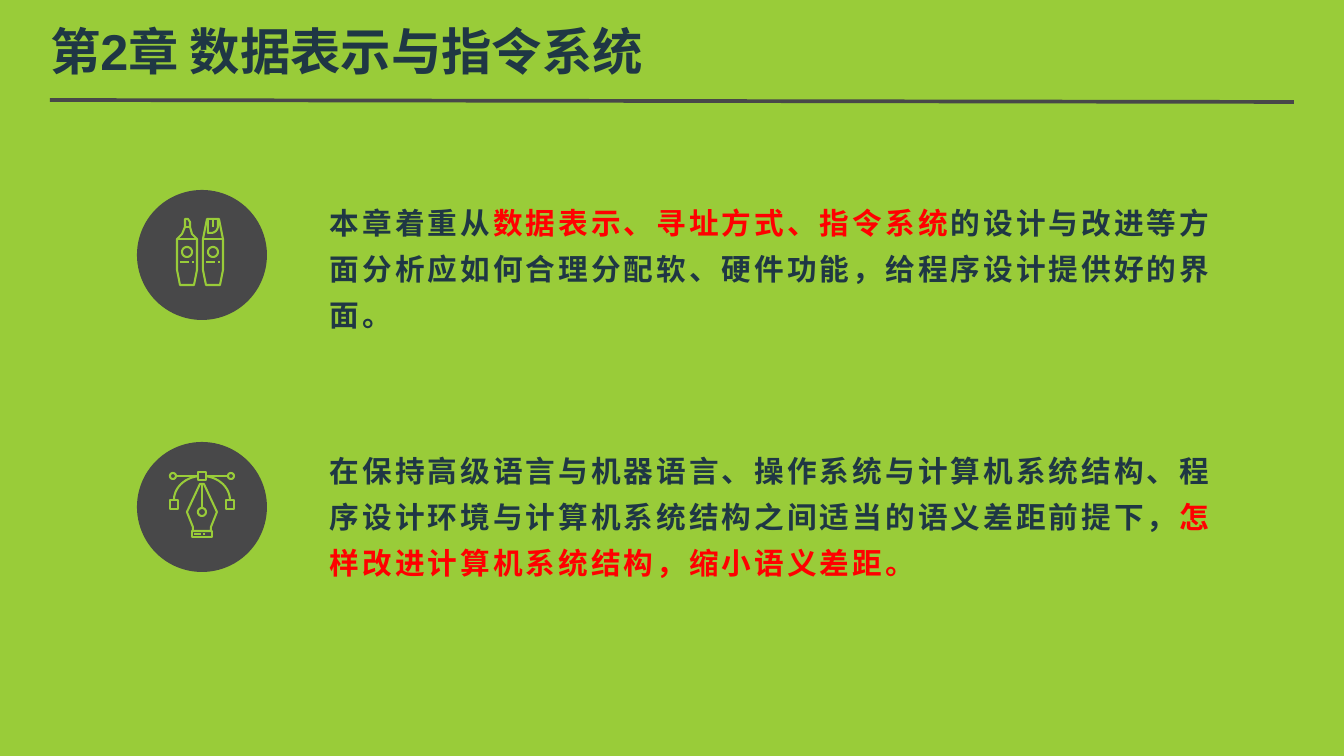
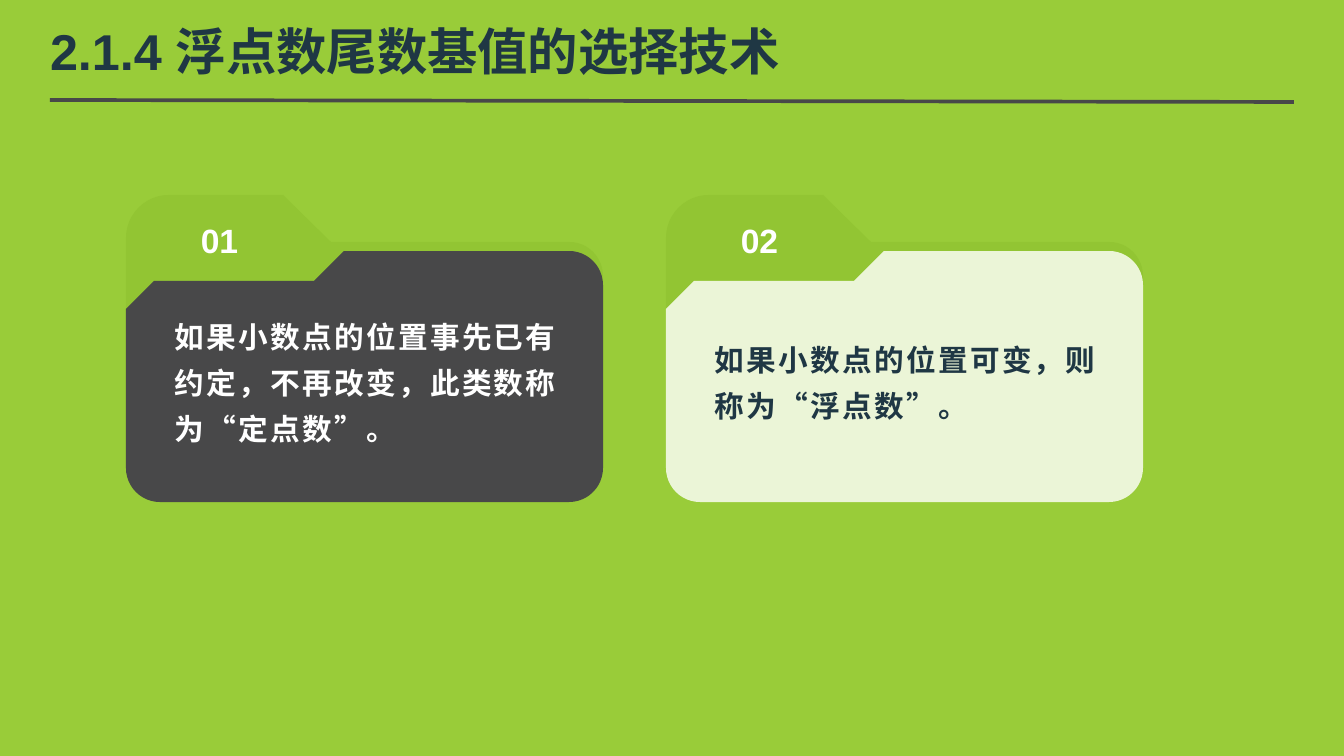
from dataclasses import dataclass
from math import cos, radians, sin

from lxml.etree import SubElement
from pptx import Presentation
from pptx.dml.color import RGBColor as Rgb
from pptx.enum.shapes import MSO_CONNECTOR as Connector, MSO_SHAPE as Shape
from pptx.enum.text import MSO_ANCHOR as Anchor, PP_ALIGN as Align
from pptx.oxml.ns import qn
from pptx.util import Emu, Pt

PX = 8572.5  # EMU in one px
WIDTH, HEIGHT = 1344, 756


@dataclass(frozen=True)
class Theme:
    green: str = "99CC39"
    leaf: str = "92C533"
    pale: str = "EBF5D7"
    gray: str = "484849"
    ink: str = "1F3744"
    red: str = "FF0000"
    white: str = "FFFFFF"
    font: str = "Arial"
    title: float = 34
    body: float = 20
    number: float = 22.7
    rule: float = 2.5
    stroke: float = 1.4


THEME = Theme()


def px(value):
    return Emu(round(value * PX))


def rgb(color):
    return Rgb.from_string(color)


def arc(x, y, rx, ry, start, end, steps=12):
    """Points on an ellipse; angles run clockwise from the right."""
    angles = [radians(start + (end - start) * i / steps) for i in range(steps + 1)]
    return [(x + rx * cos(a), y + ry * sin(a)) for a in angles]


def ring(x, y, radius):
    return arc(x, y, radius, radius, 0, 360, 24)


def rectangle(left, top, right, bottom):
    return [(left, top), (right, top), (right, bottom), (left, bottom), (left, top)]


class Slides:
    def __init__(self, theme):
        self.theme = theme
        self.deck = Presentation()
        self.deck.slide_width, self.deck.slide_height = px(WIDTH), px(HEIGHT)
        fill = self.deck.slide_master.background.fill
        fill.solid()
        fill.fore_color.rgb = rgb(theme.green)
        self.page = None

    def new_page(self, title):
        self.page = self.deck.slides.add_slide(self.deck.slide_layouts[6])
        self.rule(50, 100, 1294, 102)
        self.text(50, 17, 1243, 67, [(title, self.theme.ink)], self.theme.title,
                  anchor=Anchor.MIDDLE, inset=(0, 0))

    def rule(self, x1, y1, x2, y2):
        line = self.page.shapes.add_connector(
            Connector.STRAIGHT, px(x1), px(y1), px(x2), px(y2))
        line.line.color.rgb = rgb(self.theme.gray)
        line.line.width = Pt(self.theme.rule)
        SubElement(line._element.spPr, qn("a:effectLst"))

    def text(self, left, top, width, height, parts, size, *, spacing=None,
             tracking=0, anchor=Anchor.TOP, align=None, inset=(11, 5)):
        """parts is a list of (words, color) set as one paragraph."""
        box = self.page.shapes.add_textbox(px(left), px(top), px(width), px(height))
        frame = box.text_frame
        frame.word_wrap = True
        frame.vertical_anchor = anchor
        frame.margin_left = frame.margin_right = px(inset[0])
        frame.margin_top = frame.margin_bottom = px(inset[1])
        para = frame.paragraphs[0]
        para.alignment = align
        para.line_spacing = spacing
        for words, color in parts:
            span = para.add_run()
            span.text = words
            span.font.name = self.theme.font
            span.font.size = Pt(size)
            span.font.bold = True
            span.font.color.rgb = rgb(color)
            if tracking:
                span._r.get_or_add_rPr().set("spc", str(round(tracking * 100)))

    def disc(self, left, top, size, color):
        shape = self.page.shapes.add_shape(
            Shape.OVAL, px(left), px(top), px(size), px(size))
        self.paint(shape, color)

    def paint(self, shape, color):
        shape.shadow.inherit = False
        shape.fill.solid()
        shape.fill.fore_color.rgb = rgb(color)
        shape.line.fill.background()

    def outline(self, left, top, contours):
        """One freeform of contours placed relative to left, top."""
        builder = None
        for contour in contours:
            first, *rest = [(px(left + x), px(top + y)) for x, y in contour]
            if builder is None:
                builder = self.page.shapes.build_freeform(*first)
            else:
                builder.move_to(*first)
            builder.add_line_segments(rest, close=contour[0] == contour[-1])
        return builder.convert_to_shape()

    def icon(self, x, y, contours):
        shape = self.outline(x, y, contours)
        shape.shadow.inherit = False
        shape.fill.background()
        shape.line.color.rgb = rgb(self.theme.green)
        shape.line.width = Pt(self.theme.stroke)

    def panel(self, left, top, points, color):
        self.paint(self.outline(left, top, [points + points[:1]]), color)


# Icon drawings, measured from the centre of their disc
def marker_icon():
    contours = [
        [(-17, -36), (-14, -36), (-12, -33), (-12, -28), (-10, -21), (-5, -16),
         (-5, 15), (-8, 30), (-22, 30), (-25, 15), (-25, -16), (-20, -21),
         (-17, -28), (-17, -36)],
        [(-17, -28), (-12, -28)],
        [(5, -36), (17, -36), (21, -16), (21, 15), (18, 30), (4, 30), (1, 15),
         (1, -16), (5, -36)],
        [(6, -36), (6, -22)] + arc(9, -29, 7, 7, 90, 0) + [(16, -36)],
        [(11, -36), (11, -28)],
    ]
    for shift in (0, 26):
        contours += [
            [(shift - 25, -16), (shift - 5, -16)],
            ring(shift - 15, -3, 5),
            [(shift - 22, 7), (shift - 13, 7)],
            [(shift - 10, 7), (shift - 8, 7)],
        ]
    return contours


def pen_icon():
    contours = [
        rectangle(-4, -35, 4, -27),
        [(-2, -23), (2, -23), (15, 5), (9, 20), (9, 24), (-9, 24), (-9, 20),
         (-15, 5), (-2, -23)],
        rectangle(-10, 24, 10, 30),
        [(0, -23), (0, 1)],
        ring(0, 5, 4),
        [(-8, 27), (-1, 27)],
        [(1, 27), (3, 27)],
    ]
    for side in (-1, 1):
        contours += [
            ring(side * 29, -31, 3),
            [(side * 26, -31), (side * 4, -31)],
            arc(0, -7, side * 28, 24, 0, -82),
            rectangle(side * 28 - 4, -7, side * 28 + 4, 2),
        ]
    return contours


# Folder card, measured from its top left corner
CARD_WIDTH, CARD_HEIGHT, CORNER = 477, 307, 34


def folder_base(top):
    """Right and bottom edges with three round corners."""
    right, bottom = CARD_WIDTH - CORNER, CARD_HEIGHT - CORNER
    return (arc(right, top + CORNER, CORNER, CORNER, -90, 0)
            + arc(right, bottom, CORNER, CORNER, 0, 90)
            + arc(CORNER, bottom, CORNER, CORNER, 90, 180))


def folder_back():
    return arc(43, 43, 43, 43, 180, 270) + [(157, 0), (205, 47)] + folder_base(47)


def folder_front():
    return [(218, 56)] + folder_base(56) + [(0, 114), (28, 86), (188, 86)]


def main():
    theme = THEME
    slides = Slides(theme)

    # Chapter overview
    slides.new_page("第2章 数据表示与指令系统")
    topics = [
        (190, 189, 253, marker_icon(), [
            ("本章着重从", theme.ink),
            ("数据表示、寻址方式、指令系统", theme.red),
            ("的设计与改进等方面分析应如何合理分配软、硬件功能，给程序设计提供好的界面。",
             theme.ink)]),
        (442, 437, 259, pen_icon(), [
            ("在保持高级语言与机器语言、操作系统与计算机系统结构、程序设计环境与"
             "计算机系统结构之间适当的语义差距前提下，", theme.ink),
            ("怎样改进计算机系统结构，缩小语义差距。", theme.red)]),
    ]
    for disc_top, text_top, text_height, drawing, parts in topics:
        slides.disc(137, disc_top, 130, theme.gray)
        slides.icon(202, disc_top + 65, drawing)
        slides.text(319, text_top, 929, text_height, parts, theme.body,
                    spacing=1.3, tracking=2)

    # Fixed point and floating point cards
    slides.new_page("2.1.4 浮点数尾数基值的选择技术")
    cards = [
        ("01", theme.gray, theme.white,
         "如果小数点的位置事先已有约定，不再改变，此类数称为“定点数”。"),
        ("02", theme.pale, theme.ink,
         "如果小数点的位置可变，则称为“浮点数”。"),
    ]
    for index, (number, fill, color, words) in enumerate(cards):
        left, top = 126 + 540 * index, 195
        slides.panel(left, top, folder_back(), theme.leaf)
        slides.panel(left, top, folder_front(), fill)
        slides.text(left + 39, top + 103, 427, 159, [(words, color)], theme.body,
                    spacing=1.3, tracking=1.5, anchor=Anchor.MIDDLE, inset=(10, 5))
        slides.text(left, top, 187, 82, [(number, theme.white)], theme.number,
                    spacing=1.2, anchor=Anchor.MIDDLE, align=Align.CENTER)

    slides.deck.save("out.pptx")


if __name__ == "__main__":
    main()
